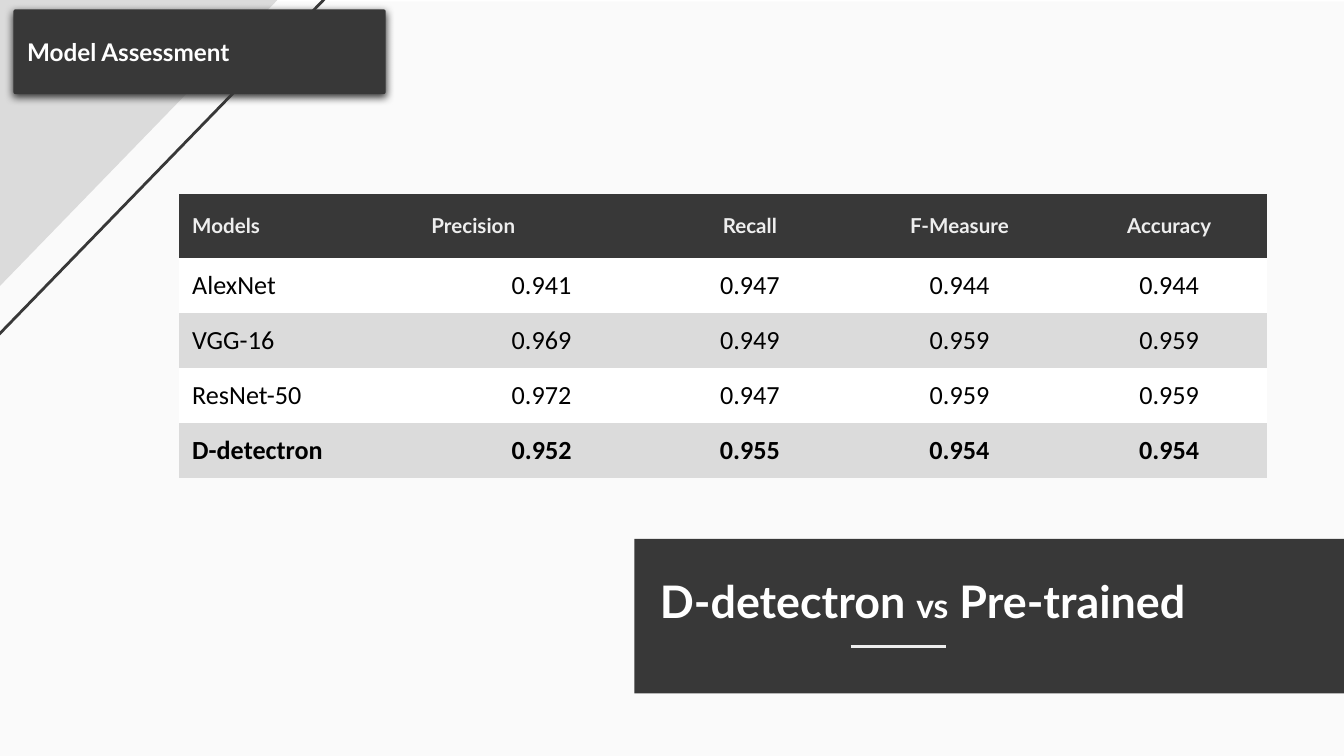
import pptx
import pptx.util
import pptx.dml.color
import pptx.enum.shapes
import pptx.enum.text
import pptx.oxml
import pptx.oxml.ns

Inches = pptx.util.Inches
Shape = pptx.enum.shapes.MSO_SHAPE
Align = pptx.enum.text.PP_ALIGN
Anchor = pptx.enum.text.MSO_ANCHOR
qn = pptx.oxml.ns.qn
SPACE = pptx.oxml.ns.nsdecls("a")
DARK, GREY, PALE, WHITE = "383838", "DBDBDB", "EEEEEE", "FFFFFF"
PLAIN = "{2D5ABB26-0587-4C30-8999-92F81FD0307C}"
WIDTHS = [1.88, 1.64, 1.46, 1.66, 1.46]
HEIGHTS = [0.48] + [0.41] * 4
ROWS = [
    ["Models", "Precision", "Recall", "F-Measure", "Accuracy"],
    ["AlexNet", "0.941", "0.947", "0.944", "0.944"],
    ["VGG-16", "0.969", "0.949", "0.959", "0.959"],
    ["ResNet-50", "0.972", "0.947", "0.959", "0.959"],
    ["D-detectron", "0.952", "0.955", "0.954", "0.954"],
]


def rgb(code):
    return pptx.dml.color.RGBColor.from_string(code)


def paint(fill, code):
    fill.solid()
    fill.fore_color.rgb = rgb(code)


def write(para, text, size=14, font="Lato", color=WHITE, bold=True, align=Align.LEFT):
    para.alignment = align
    run = para.add_run()
    run.text = text
    run.font.size = pptx.util.Pt(size)
    run.font.name = font
    run.font.bold = bold
    run.font.color.rgb = rgb(color)


def inset(frame, left=0.1, top=0.1, right=0.1, bottom=0.1):
    frame.margin_left, frame.margin_top = Inches(left), Inches(top)
    frame.margin_right, frame.margin_bottom = Inches(right), Inches(bottom)


def add_box(slide, kind, place, fill=None, line=None, turn=0):
    box = slide.shapes.add_shape(kind, *map(Inches, place))
    box.shadow.inherit = False
    box.rotation = turn
    if fill:
        paint(box.fill, fill)
    else:
        box.fill.background()
    if line:
        box.line.color.rgb = rgb(line)
        box.line.width = pptx.util.Pt(1.5)
    else:
        box.line.fill.background()
    return box


def add_back(slide):
    wash = add_box(slide, Shape.RECTANGLE, (0, 0.01, 10, 5.62), PALE)
    tint = wash.element.spPr.find(".//" + qn("a:srgbClr"))
    tint.append(pptx.oxml.parse_xml(f'<a:alpha {SPACE} val="24000"/>'))
    add_box(slide, Shape.RECTANGLE, (4.72, 4.01, 5.34, 1.15), DARK)
    add_box(slide, Shape.RIGHT_TRIANGLE, (-0.37, -0.86, 3.72, 3.61), line=DARK, turn=90)
    add_box(slide, Shape.RIGHT_TRIANGLE, (-0.48, -1.1, 3.72, 3.61), GREY, turn=90)


def add_title(slide):
    title = slide.shapes.title
    slide.shapes.element.append(title.element)
    title.left, title.top = Inches(4.81), Inches(4.17)
    title.width, title.height = Inches(5.27), Inches(0.61)
    frame = title.text_frame
    frame.word_wrap = True
    frame.auto_size = pptx.enum.text.MSO_AUTO_SIZE.SHAPE_TO_FIT_TEXT
    frame.vertical_anchor = Anchor.TOP
    inset(frame)
    for text, size in [("D-detectron ", 24), ("vs", 18), (" Pre-trained", 24)]:
        write(frame.paragraphs[0], text, size=size)


def add_rule(slide):
    ends = map(Inches, (6.33, 4.81, 7.04, 4.81))
    rule = slide.shapes.add_connector(pptx.enum.shapes.MSO_CONNECTOR.STRAIGHT, *ends)
    rule.line.color.rgb = rgb(PALE)
    rule.line.width = pptx.util.Pt(1.5)
    rule.element.spPr.append(pptx.oxml.parse_xml(f"<a:effectLst {SPACE}/>"))


def add_label(slide):
    label = add_box(slide, Shape.ROUNDED_RECTANGLE, (0.1, 0.07, 2.77, 0.63), DARK)
    label.adjustments[0] = 0.025
    label.element.spPr.find(qn("a:effectLst")).append(pptx.oxml.parse_xml(
        f'<a:outerShdw {SPACE} blurRad="57150" dist="19050" dir="5400000" '
        f'algn="bl" rotWithShape="0"><a:srgbClr val="{DARK}"/></a:outerShdw>'))
    frame = label.text_frame
    frame.word_wrap = True
    frame.vertical_anchor = Anchor.MIDDLE
    inset(frame)
    write(frame.paragraphs[0], "Model Assessment", size=13)


def fill_cell(cell, text, row, col):
    head = row == 0
    cell.vertical_anchor = Anchor.MIDDLE
    inset(cell, left=0 if head and col in (1, 3) else 0.1, top=0,
          right=0 if head and col == 3 else 0.1, bottom=0)
    paint(cell.fill, DARK if head else WHITE if row % 2 else GREY)
    left = col == 0 or head and col == 1
    write(cell.text_frame.paragraphs[0], text, size=11 if head else 14,
          font="Lato" if head else "Calibri", color=PALE if head else "000000",
          bold=row in (0, len(ROWS) - 1), align=Align.LEFT if left else Align.CENTER)


def add_scores(slide):
    place = map(Inches, (1.33, 1.44, sum(WIDTHS), sum(HEIGHTS)))
    holder = slide.shapes.add_table(len(ROWS), len(WIDTHS), *place)
    holder.element.find(".//" + qn("a:tableStyleId")).text = PLAIN
    table = holder.table
    table.first_row = table.horz_banding = False
    for col, width in zip(table.columns, WIDTHS):
        col.width = Inches(width)
    for row, height in zip(table.rows, HEIGHTS):
        row.height = Inches(height)
    for row, texts in enumerate(ROWS):
        for col, text in enumerate(texts):
            fill_cell(table.cell(row, col), text, row, col)


def main():
    deck = pptx.Presentation()
    deck.slide_width = Inches(10)
    deck.slide_height = deck.slide_width * 9 // 16
    slide = deck.slides.add_slide(deck.slide_layouts[5])
    add_back(slide)
    add_title(slide)
    add_rule(slide)
    add_label(slide)
    add_scores(slide)
    deck.save("out.pptx")


if __name__ == "__main__":
    main()
